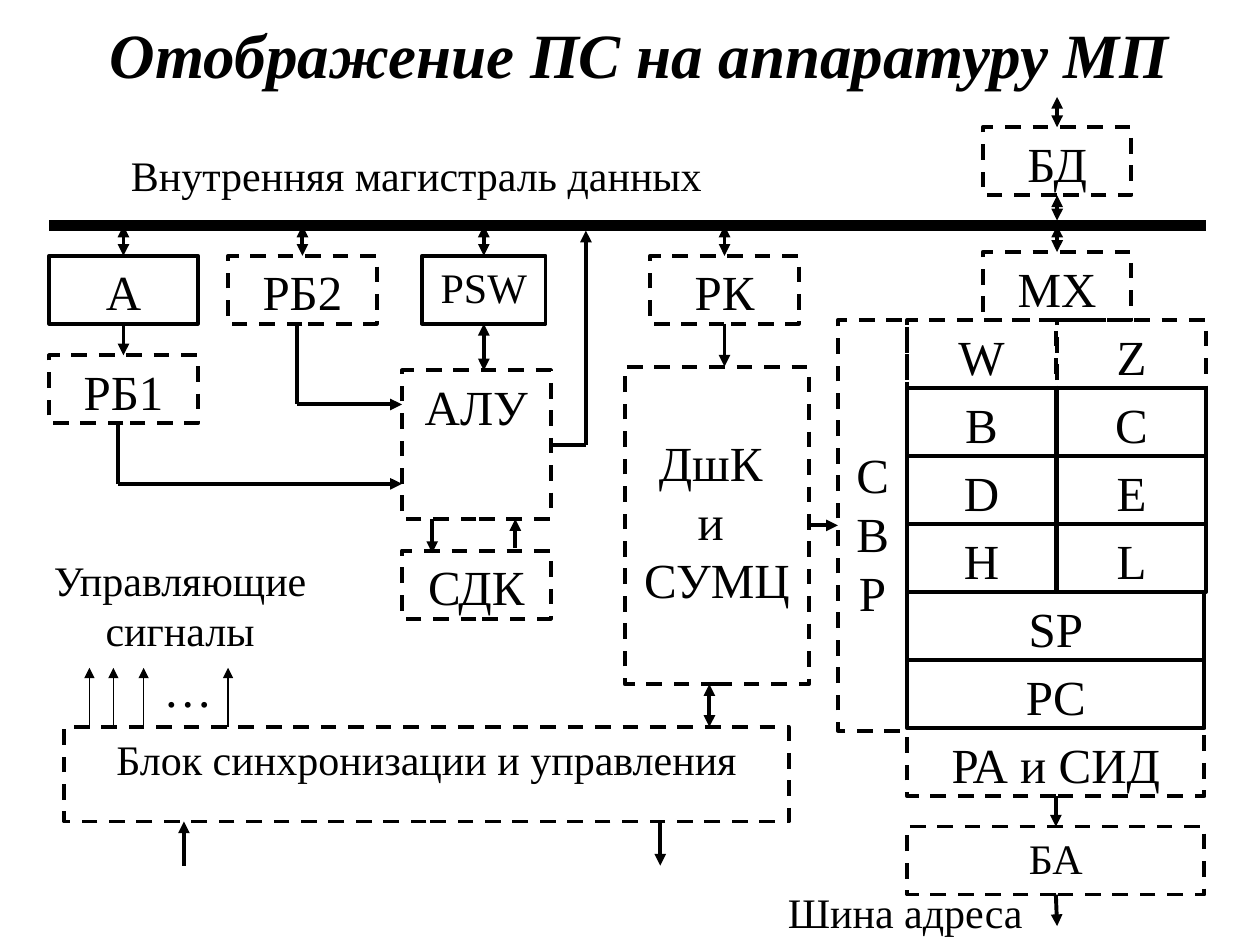
from pptx import Presentation
from pptx.dml.color import RGBColor
from pptx.enum.dml import MSO_LINE
from pptx.enum.shapes import MSO_CONNECTOR, MSO_SHAPE
from pptx.enum.text import MSO_ANCHOR, PP_ALIGN
from pptx.oxml.ns import qn
from pptx.util import Inches, Pt
from lxml import etree

RECT, STRAIGHT, DASH = MSO_SHAPE.RECTANGLE, MSO_CONNECTOR.STRAIGHT, MSO_LINE.DASH
TOP, MIDDLE, CENTER = MSO_ANCHOR.TOP, MSO_ANCHOR.MIDDLE, PP_ALIGN.CENTER
UP, DOWN, LEFT, RIGHT = 0, 2, 1, 3  # connection sites of a rectangle

THEME = {
    "font": "Times New Roman",
    "ink": RGBColor(0, 0, 0),
    "title": 36, "block": 28, "label": 24,
    "line": 2.25, "thin": 0.75, "bus": 6,
}


def write(sp, text, size, anchor=TOP, margin_top=0.05):
    tf = sp.text_frame
    tf.text = text
    tf.word_wrap = True
    tf.vertical_anchor = anchor
    tf.margin_left = tf.margin_right = Inches(0.1)
    tf.margin_top, tf.margin_bottom = Inches(margin_top), Inches(0.05)
    for p in tf.paragraphs:
        p.alignment = CENTER
        for r in p.runs:
            r.font.name = THEME["font"]
            r.font.size = Pt(THEME[size])
            r.font.color.rgb = THEME["ink"]


def connect(start, end, heads="", weight="line"):
    """Each end is an (x, y) point or a (block name, site) pair."""
    points = [(0, 0) if isinstance(e[0], str) else e for e in (start, end)]
    cx = s.shapes.add_connector(STRAIGHT, *[Inches(v) for pt in points for v in pt])
    for e, join in ((start, cx.begin_connect), (end, cx.end_connect)):
        if isinstance(e[0], str):
            join(blocks[e[0]], e[1])
    cx.line.color.rgb = THEME["ink"]
    cx.line.width = Pt(THEME[weight])
    ln = cx.line._get_or_add_ln()
    for head in heads.split():
        etree.SubElement(ln, qn("a:" + head), type="triangle")
    etree.SubElement(cx._element.spPr, qn("a:effectLst"))


prs = Presentation()
prs.slide_width, prs.slide_height = Inches(10), Inches(7.5)
s = prs.slides.add_slide(prs.slide_layouts[5])

# Title
title = s.shapes.title
title.left, title.top, title.width, title.height = [
    Inches(v) for v in (0.21, 0.13, 9.73, 0.59)]
write(title, "Отображение ПС на аппаратуру МП", "title", MIDDLE)
for r in title.text_frame.paragraphs[0].runs:
    r.font.bold = r.font.italic = True

# Blocks: text, left, top, width, height, dashed, size, top margin
W, H = 1.18, 0.54
specs = [
    ("МХ", 7.8, 2, W, H, True, "block", 0.05),
    ("БД", 7.8, 1.01, W, H, True, "block", 0.05),
    ("А", 0.39, 2.03, W, H, False, "block", 0.05),
    ("РБ1", 0.39, 2.82, W, H, True, "block", 0.05),
    ("РБ2", 1.81, 2.03, W, H, True, "block", 0.05),
    ("PSW", 3.35, 2.03, 0.98, H, False, "label", 0.05),
    ("РК", 5.16, 2.03, W, H, True, "block", 0.05),
    ("АЛУ", 3.19, 2.94, W, W, True, "block", 0.05),
    ("СДК", 3.19, 4.37, W, H, True, "block", 0.05),
    ("ДшК \vи \vСУМЦ", 4.96, 2.91, 1.46, 2.52, True, "block", 0.52),
    ("СВР", 6.65, 2.54, 0.55, 3.26, True, "block", 0.99),
    ("БА", 7.2, 6.56, 2 * W, H, True, "label", 0.05),
    ("Блок синхронизации и управления", 0.51, 5.77, 5.75, 0.75, True, "label", 0.05),
]

# Register file: rows of one or two cells, outer rows dashed
rows = ["W Z", "B C", "D E", "H L", ["SP"], ["PC"], ["РА и СИД"]]
for i, row in enumerate(rows):
    cells = row.split() if isinstance(row, str) else row
    for j, name in enumerate(cells):
        specs.append((name, 7.2 + j * 1.19, 2.54 + i * H, 2 * W / len(cells), H,
                      i in (0, len(rows) - 1), "block", 0.05))

blocks = {}
for name, x, y, w, h, dashed, size, margin in specs:
    sp = s.shapes.add_shape(RECT, Inches(x), Inches(y), Inches(w), Inches(h))
    sp.shadow.inherit = False
    sp.fill.background()
    sp.line.color.rgb = THEME["ink"]
    sp.line.width = Pt(THEME["line"])
    if dashed:
        sp.line.dash_style = DASH
    write(sp, name, size, margin_top=margin)
    blocks[name.split()[0] if "\v" in name else name] = sp

# Data bus and its two-way links
BUS, BOTH, END = 1.79, "headEnd tailEnd", "tailEnd"
connect((9.57, BUS), (0.39, BUS), weight="bus")
for name, x in (("А", 0.98), ("РБ2", 2.4), ("PSW", 3.84), ("РК", 5.75), ("МХ", 8.39)):
    connect((x, BUS), (name, UP), BOTH)
connect(("БД", DOWN), (8.39, 1.75), BOTH)
connect((8.39, 0.77), ("БД", UP), BOTH)

# Links between blocks
connect(("А", DOWN), ("РБ1", UP), END)
connect(("PSW", DOWN), (3.84, 2.94), BOTH)
connect(("РК", DOWN), (5.75, 2.91), END)
connect(("ДшК", RIGHT), ("СВР", LEFT), END)
connect((5.63, 5.43), (5.63, 5.77), BOTH)
connect((3.43, 4.12), (3.43, 4.39), END)
connect((4.09, 4.35), (4.09, 4.12), END)
connect(("РА и СИД", DOWN), ("БА", UP), END)
connect(("БА", DOWN), (8.39, 7.35), END)

# Bent links of the ALU
for x, top, y in ((2.36, 2.58, 3.21), (0.94, 3.37, 3.84)):
    connect((x, top), (x, y))
    connect((x, y), (3.19, y), END)
connect(("АЛУ", RIGHT), (4.65, 3.53))
connect((4.65, 3.53), (4.65, 1.83), END)

# Control unit signals
connect((5.24, 6.52), (5.24, 6.87), END)
connect((1.46, 6.87), (1.46, 6.52), END)
for x in (0.71, 0.9, 1.14, 1.81):
    connect((x, 5.77), (x, 5.3), END, "thin")

# Labels
for text, x, y, w, h, size in (
    ("Внутренняя магистраль данных", 0.51, 1.14, 5.59, H, "label"),
    ("…", 0.9, 5.18, W, H, "block"),
    ("Управляющие сигналы", 0.31, 4.35, 2.24, 0.89, "label"),
    ("Шина адреса", 5.63, 6.99, 3.11, H, "label"),
):
    write(s.shapes.add_textbox(Inches(x), Inches(y), Inches(w), Inches(h)), text, size)

prs.save("out.pptx")
